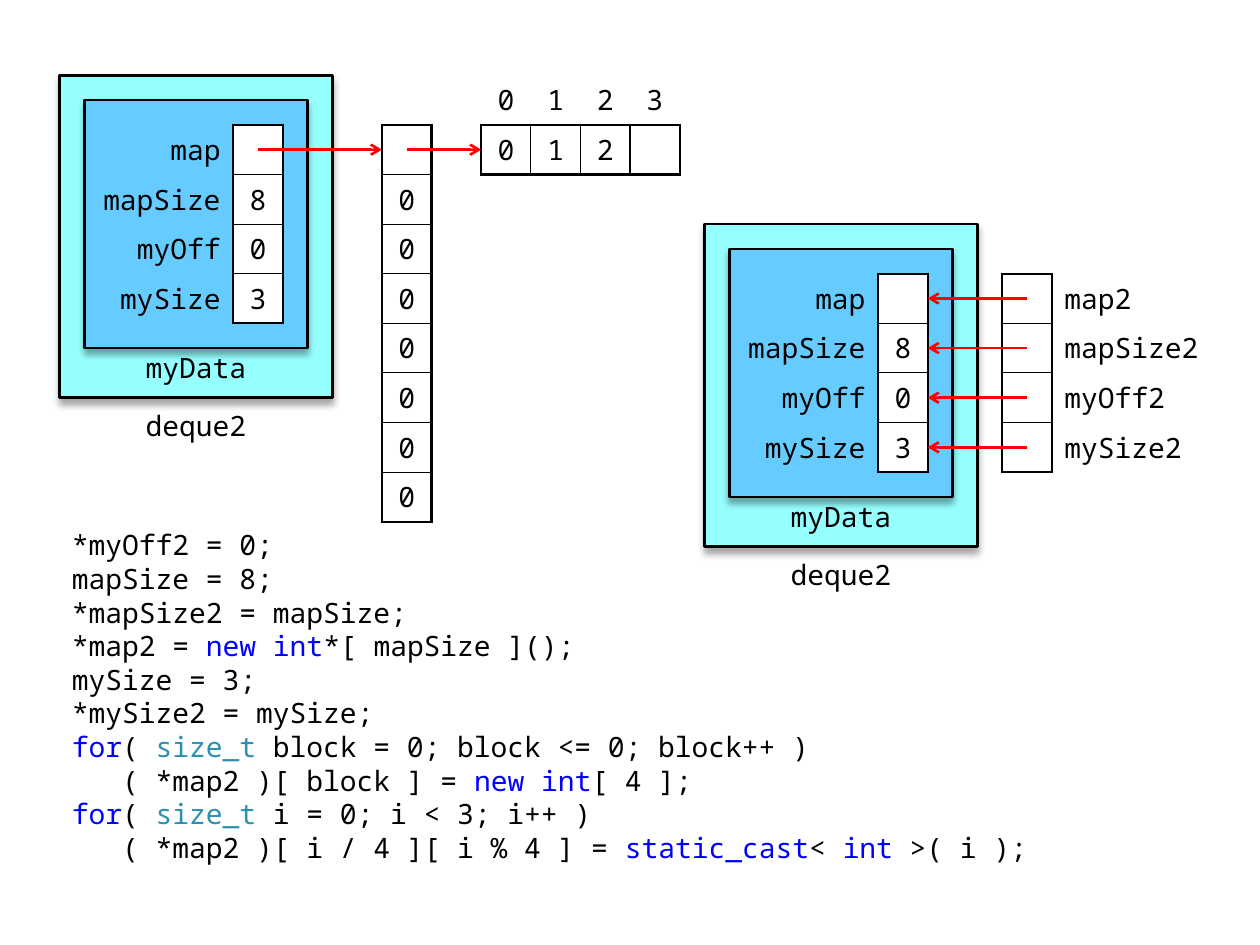
from lxml.etree import SubElement
from pptx import Presentation
from pptx.dml.color import RGBColor
from pptx.enum.shapes import MSO_CONNECTOR, MSO_SHAPE
from pptx.enum.text import MSO_ANCHOR, PP_ALIGN
from pptx.oxml import parse_xml
from pptx.oxml.ns import qn
from pptx.util import Pt

U = 28.35  # side of one cell
BLACK, WHITE, RED, BLUE, TEAL = "000000", "FFFFFF", "FF0000", "0000FF", "2B91AF"
NO_STYLE = "{2D5ABB26-0587-4C30-8999-92F81FD0307C}"
NS = 'xmlns:a="http://schemas.openxmlformats.org/drawingml/2006/main"'
SHADOW = (f'<a:effectLst {NS}><a:outerShdw blurRad="50800" dist="38100" dir="5400000" '
          'rotWithShape="0"><a:srgbClr val="000000"><a:alpha val="35000"/></a:srgbClr>'
          '</a:outerShdw></a:effectLst>')
LEFT, CENTER, RIGHT = PP_ALIGN.LEFT, PP_ALIGN.CENTER, PP_ALIGN.RIGHT
rgb = RGBColor.from_string


def write(p, runs, align=LEFT):
    p.alignment = align
    for text, color in runs:
        r = p.add_run()
        r.text = text
        for name, value in {"name": "Noto Sans Mono", "size": Pt(16)}.items():
            setattr(r.font, name, value)
        r.font.color.rgb = rgb(color)


def set_format(obj, **values):
    for name, value in values.items():
        setattr(obj, name, value)


prs = Presentation()
prs.slide_width, prs.slide_height = Pt(720), Pt(540)
s = prs.slides.add_slide(prs.slide_layouts[6])

# Both deques: nested boxes and captions
deques = [(34, 43), (34 + 13 * U, 43 + 3 * U)]
for x, y in deques:
    for inset, w, h, fill in [(0, 5.5, 6.5, "96FFFF"), (0.5, 4.5, 5, "66CCFF")]:
        sp = s.shapes.add_shape(MSO_SHAPE.FLOWCHART_PROCESS, Pt(x + inset * U),
                                Pt(y + inset * U), Pt(w * U), Pt(h * U))
        sp.fill.solid()
        sp.fill.fore_color.rgb = rgb(fill)
        sp.line.color.rgb = rgb(BLACK)
        sp.line.width = Pt(1.5)
        sp._element.spPr.append(parse_xml(SHADOW))
    for name, dx, dy, w, anchor, top in [
            ("deque2", 1, 6.5, 3.5, MSO_ANCHOR.MIDDLE, 2.9),
            ("myData", 1.5, 5.5, 2.5, MSO_ANCHOR.TOP, 1.4)]:
        sp = s.shapes.add_textbox(Pt(x + dx * U), Pt(y + dy * U), Pt(w * U), Pt(U))
        set_format(sp.text_frame, word_wrap=True, vertical_anchor=anchor,
                   margin_left=Pt(5.7), margin_right=Pt(5.7),
                   margin_top=Pt(top), margin_bottom=0)
        write(sp.text_frame.paragraphs[0], [(name, BLACK)], CENTER)

# Tables: left, top, column widths in cells, rows, boxed cells, label alignment
members = [["map", ""], ["mapSize", "8"], ["myOff", "0"], ["mySize", "3"]]
pointers = [["", name + "2"] for name, _ in members]
(x1, y1), (x2, y2) = deques
x_map, x_block, x_ptr = x1 + 6.5 * U, x1 + 8.5 * U, x2 + 6 * U
value_cells = {(i, 1) for i in range(4)}
grids = [
    (x_map, y1 + U, [1], [[""]] + [["0"]] * 7, {(i, 0) for i in range(8)}, CENTER),
    (x_block, y1, [1] * 4, [list("0123"), ["0", "1", "2", ""]],
     {(1, j) for j in range(4)}, CENTER),
    (x1 + U / 2, y1 + U, [3, 1], members, value_cells, RIGHT),
    (x2 + U / 2, y2 + U, [3, 1], members, value_cells, RIGHT),
    (x_ptr, y2 + U, [1, 3], pointers, {(i, 0) for i in range(4)}, LEFT),
]
sides = {"a:lnL": (0, -1), "a:lnR": (0, 1), "a:lnT": (-1, 0), "a:lnB": (1, 0)}
for x, y, widths, rows, boxed, align in grids:
    gf = s.shapes.add_table(len(rows), len(widths), Pt(x), Pt(y),
                            Pt(sum(widths) * U), Pt(len(rows) * U))
    table = gf.table
    set_format(table, first_row=False, horz_banding=False)
    table._tbl.tblPr.find(qn("a:tableStyleId")).text = NO_STYLE
    for col, w in zip(table.columns, widths):
        col.width = Pt(w * U)
    for i, row in enumerate(rows):
        table.rows[i].height = Pt(U)
        for j, text in enumerate(row):
            cell = table.cell(i, j)
            label = widths[j] > 1
            margin = Pt(7.2 if label else 0)
            set_format(cell, vertical_anchor=MSO_ANCHOR.MIDDLE,
                       margin_left=margin, margin_right=0 if align == LEFT else margin,
                       margin_top=Pt(2.8), margin_bottom=Pt(2.8))
            if text:
                write(cell.text_frame.paragraphs[0], [(text, BLACK)],
                      align if label else CENTER)
            # Thick around the boxed cells, thin between them
            tcPr = cell._tc.get_or_add_tcPr()
            for tag, (di, dj) in sides.items():
                touching = ((i, j) in boxed) + ((i + di, j + dj) in boxed)
                if touching:
                    width = Pt(0.75 if touching == 2 else 1.5)
                    ln = SubElement(tcPr, qn(tag), w=str(int(width)))
                    fill = SubElement(ln, qn("a:solidFill"))
                    SubElement(fill, qn("a:srgbClr"), val=BLACK)
            if (i, j) in boxed:
                cell.fill.solid()
                cell.fill.fore_color.rgb = rgb(WHITE)
            else:
                cell.fill.background()

# Arrows: start, end, height
y_map = y1 + 1.5 * U
arrows = [(x1 + 4 * U, x_map, y_map), (x_map + U / 2, x_block, y_map)]
arrows += [(x_ptr + U / 2, x2 + 4.5 * U, y2 + (i + 1.5) * U) for i in range(4)]
for start, end, y in arrows:
    c = s.shapes.add_connector(MSO_CONNECTOR.STRAIGHT, Pt(start), Pt(y), Pt(end), Pt(y))
    c.line.color.rgb = rgb(RED)
    c.line.width = Pt(1.5)
    SubElement(c.line._get_or_add_ln(), qn("a:tailEnd"), type="arrow")
    SubElement(c._element.spPr, qn("a:effectLst"))

# Code
code = [
    [("*myOff2 = 0;", BLACK)],
    [("mapSize = 8;", BLACK)],
    [("*mapSize2 = mapSize;", BLACK)],
    [("*map2 = ", BLACK), ("new int", BLUE), ("*[ mapSize ]();", BLACK)],
    [("mySize = 3;", BLACK)],
    [("*mySize2 = mySize;", BLACK)],
    [("for", BLUE), ("( ", BLACK), ("size_t", TEAL),
     (" block = 0; block <= 0; block++ )", BLACK)],
    [("   ( *map2 )[ block ] = ", BLACK), ("new int", BLUE), ("[ 4 ];", BLACK)],
    [("for", BLUE), ("( ", BLACK), ("size_t", TEAL), (" i = 0; i < 3; i++ )", BLACK)],
    [("   ( *map2 )[ i / 4 ][ i % 4 ] = ", BLACK), ("static_cast", BLUE),
     ("< ", BLACK), ("int", BLUE), (" >( i );", BLACK)],
]
sp = s.shapes.add_textbox(Pt(x1), Pt(y1 + 9 * U), Pt(20 * U), Pt(7 * U))
tf = sp.text_frame
tf.word_wrap = True
for i, runs in enumerate(code):
    p = tf.add_paragraph() if i else tf.paragraphs[0]
    p.line_spacing = Pt(19.2)
    write(p, runs)

prs.save("out.pptx")
